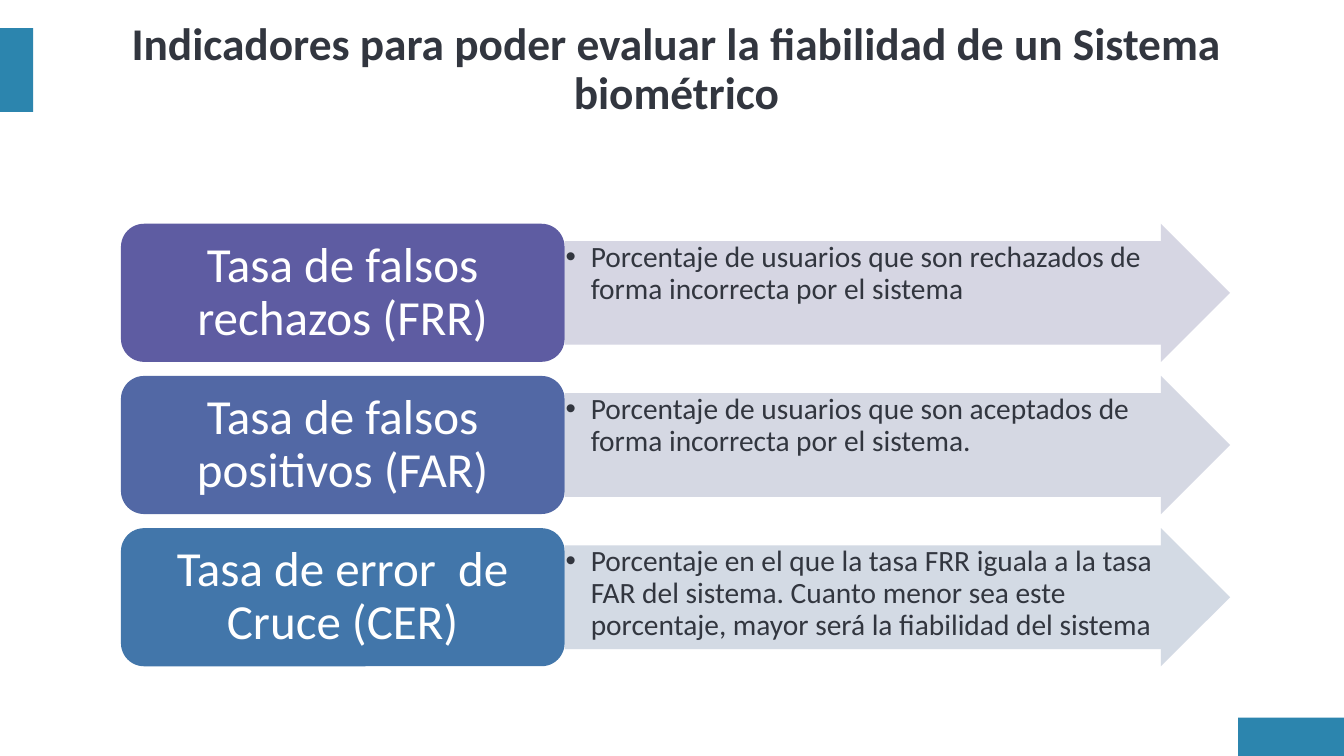
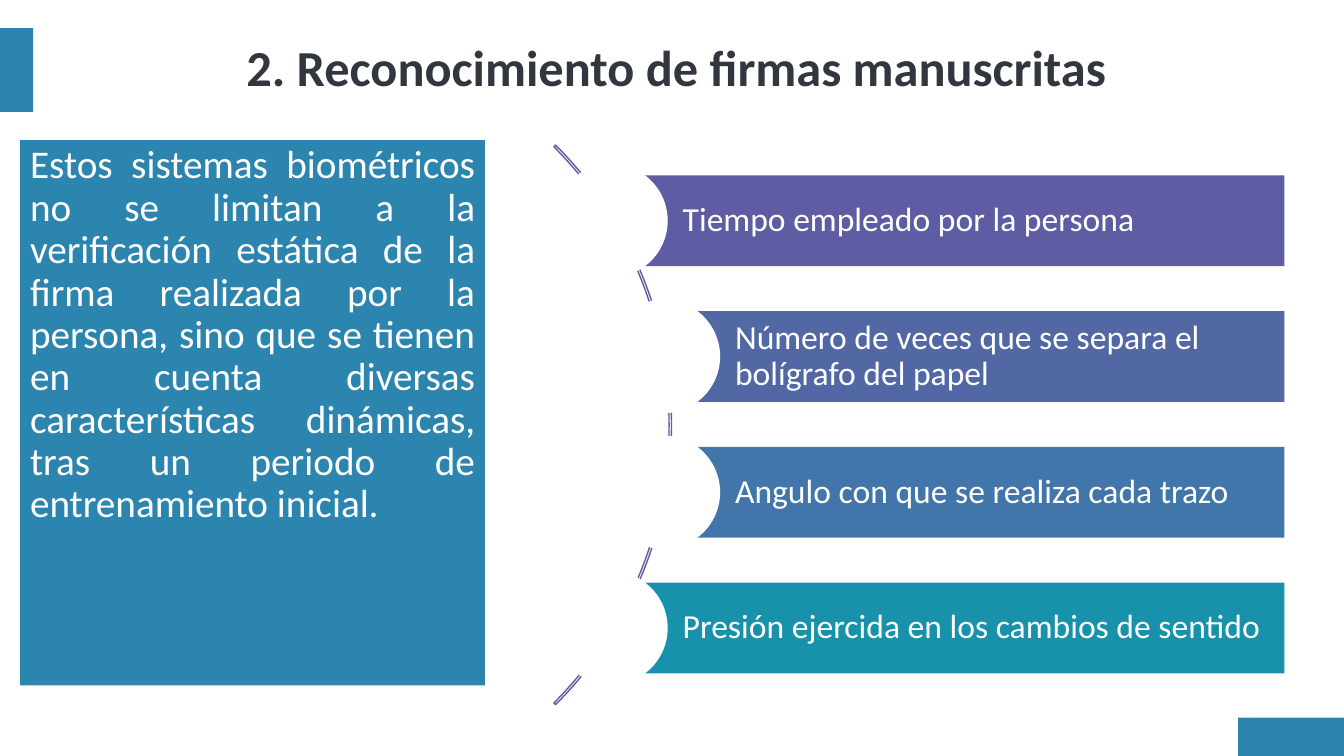
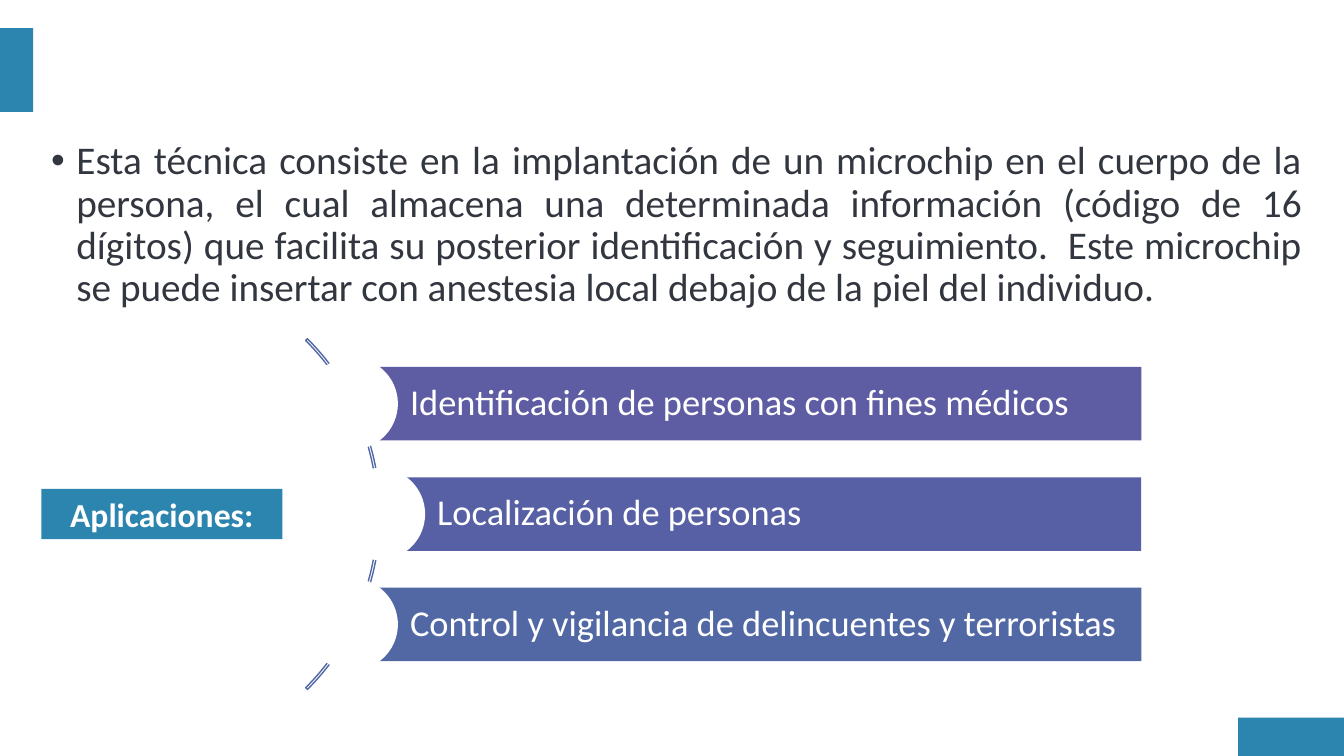
"""Builds three slides on the reliability and techniques of biometric systems."""
from lxml.etree import SubElement
from pptx import Presentation
from pptx.dml.color import RGBColor
from pptx.enum.shapes import MSO_SHAPE
from pptx.enum.text import MSO_ANCHOR, MSO_AUTO_SIZE, PP_ALIGN
from pptx.oxml.ns import qn
from pptx.util import Inches, Pt

FONT = "Calibri"
COLORS = {
    "accent": "2C85AE",
    "ink": "32363F",
    "white": "FFFFFF",
    "violet": "5E5CA2",
    "indigo": "5760A4",
    "slate": "5268A5",
    "blue": "4276AA",
    "teal": "1891AB",
    "pale violet": "D2D2E0",
    "pale slate": "D1D4E1",
    "pale blue": "CFD6E2",
}


def add_block(page, kind, left, top, width, height, fill=None):
    """Add a preset shape without line or shadow."""
    block = page.shapes.add_shape(kind, Inches(left), Inches(top), Inches(width), Inches(height))
    block.shadow.inherit = False
    block.line.fill.background()
    if fill:
        block.fill.solid()
        block.fill.fore_color.rgb = RGBColor.from_string(COLORS[fill])
    else:
        block.fill.background()
    return block


def write_text(box, text, size, color="white", align=PP_ALIGN.LEFT, anchor=MSO_ANCHOR.MIDDLE,
               insets=(0.1, 0.05, 0.1, 0.05), spacing=0.9, before=0, bold=False, bullet=False):
    """Set one formatted paragraph in a shape."""
    frame = box.text_frame
    frame.text = text
    frame.word_wrap = True
    frame.auto_size = MSO_AUTO_SIZE.NONE
    frame.vertical_anchor = anchor
    frame.margin_left, frame.margin_top, frame.margin_right, frame.margin_bottom = map(Inches, insets)
    para = frame.paragraphs[0]
    para.alignment = align
    para.line_spacing = spacing
    para.space_before = Pt(before)
    span = para.runs[0]
    span.font.name = FONT
    span.font.size = Pt(size)
    span.font.bold = bold
    span.font.color.rgb = RGBColor.from_string(COLORS[color])
    if bullet:
        properties = para._p.get_or_add_pPr()
        properties.set("marL", str(Inches(0.25)))
        properties.set("indent", str(Inches(-0.25)))
        SubElement(properties, qn("a:buFont")).set("typeface", "Arial")
        SubElement(properties, qn("a:buChar")).set("char", "•")


deck = Presentation()
deck.slide_width = Inches(13.33)
deck.slide_height = Inches(7.5)
title_only, blank = deck.slide_layouts[5], deck.slide_layouts[6]
rates_page, signature_page, chip_page = [
    deck.slides.add_slide(layout) for layout in (title_only, title_only, blank)
]

for bounds in [(12.28, 7.12, 1.05, 0.38), (0, 0.28, 0.33, 0.83)]:
    band = add_block(rates_page, MSO_SHAPE.RECTANGLE, *bounds, "accent")
    deck.slide_master.shapes.element.append(band.element)

for page, heading, size in [
    (rates_page, "Indicadores para poder evaluar la fiabilidad de un Sistema biométrico", 32.4),
    (signature_page, "2. Reconocimiento de firmas manuscritas", 36),
]:
    title = page.shapes.title
    title.left, title.top, title.width, title.height = map(Inches, (0.41, 0.28, 12.6, 0.83))
    write_text(title, heading, size, "ink", PP_ALIGN.CENTER, bold=True)

rates = [
    ("Tasa de falsos rechazos (FRR)",
     "Porcentaje de usuarios que son rechazados de forma incorrecta por el sistema",
     "violet", "pale violet"),
    ("Tasa de falsos positivos (FAR)",
     "Porcentaje de usuarios que son aceptados de forma incorrecta por el sistema.",
     "slate", "pale slate"),
    ("Tasa de error  de Cruce (CER)",
     "Porcentaje en el que la tasa FRR iguala a la tasa FAR del sistema. "
     "Cuanto menor sea este porcentaje, mayor será la fiabilidad del sistema",
     "blue", "pale blue"),
]
for index, (name, meaning, fill, pale) in enumerate(rates):
    top = 2.22 + 1.51 * index
    arrow = add_block(rates_page, MSO_SHAPE.RIGHT_ARROW, 5.6, top, 6.6, 1.37, pale)
    arrow.adjustments[0] = 0.75
    tint = arrow.element.spPr.find(qn("a:solidFill")).find(qn("a:srgbClr"))
    SubElement(tint, qn("a:alpha")).set("val", "90000")
    write_text(arrow, meaning, 21, "ink", anchor=MSO_ANCHOR.TOP, insets=(0.01,) * 4, bullet=True)
    label = add_block(rates_page, MSO_SHAPE.ROUNDED_RECTANGLE, 1.2, top, 4.4, 1.37, fill)
    write_text(label, name, 35, align=PP_ALIGN.CENTER, insets=(0.15, 0.07, 0.15, 0.07))

summary = add_block(signature_page, MSO_SHAPE.RECTANGLE, 0.2, 1.39, 4.61, 5.41, "accent")
write_text(
    summary,
    "Estos sistemas biométricos no se limitan a la verificación estática de la firma realizada "
    "por la persona, sino que se tienen en cuenta diversas características dinámicas, tras un "
    "periodo de entrenamiento inicial.",
    28, align=PP_ALIGN.JUSTIFY, anchor=MSO_ANCHOR.TOP, before=10)

technique = chip_page.shapes.add_textbox(Inches(0.41), Inches(1.35), Inches(12.6), Inches(2.08))
write_text(
    technique,
    "Esta técnica consiste en la implantación de un microchip en el cuerpo de la persona, el cual "
    "almacena una determinada información (código de 16 dígitos) que facilita su posterior "
    "identificación y seguimiento.  Este microchip se puede insertar con anestesia local debajo "
    "de la piel del individuo.",
    28, "ink", PP_ALIGN.JUSTIFY, MSO_ANCHOR.TOP, before=10, bullet=True)

curved_lists = [
    (signature_page, (-1.19, 0.29, 7.85, 7.85), 0.003, "violet", 1.74, 5.78, 12.74, 0.9, 24, [
        ("Tiempo empleado por la persona", 6.06, "violet"),
        ("Número de veces que se separa el bolígrafo del papel", 6.58, "slate"),
        ("Angulo con que se realiza cada trazo", 6.58, "blue"),
        ("Presión ejercida en los cambios de sentido", 6.06, "teal"),
    ]),
    (chip_page, (-1.15, 2.64, 4.92, 4.92), 0.005, "slate", 3.64, 5.83, 11.32, 0.73, 26, [
        ("Identificación de personas con fines médicos", 3.49, "violet"),
        ("Localización de personas", 3.76, "indigo"),
        ("Control y vigilancia de delincuentes y terroristas", 3.49, "slate"),
    ]),
]
for page, bounds, thickness, outline, first, last, right, height, size, items in curved_lists:
    arc = add_block(page, MSO_SHAPE.BLOCK_ARC, *bounds)
    for position, value in enumerate((189, 27, thickness)):
        arc.adjustments[position] = value
    arc.line.color.rgb = RGBColor.from_string(COLORS[outline])
    arc.line.width = Pt(1)
    pitch = (last - first) / (len(items) - 1)
    diameter = 1.25 * height
    for index, (text, left, fill) in enumerate(items):
        top = first + pitch * index
        bar = add_block(page, MSO_SHAPE.RECTANGLE, left, top, right - left, height, fill)
        write_text(bar, text, size, insets=(0.79 * height, 0.07, 0.07, 0.07))
        add_block(page, MSO_SHAPE.OVAL, left - diameter / 2, top + (height - diameter) / 2,
                  diameter, diameter, "white")

uses = add_block(chip_page, MSO_SHAPE.RECTANGLE, 0.41, 4.85, 2.39, 0.5, "accent")
write_text(uses, "Aplicaciones:", 24, align=PP_ALIGN.CENTER, spacing=1.0, bold=True)

deck.save("out.pptx")
